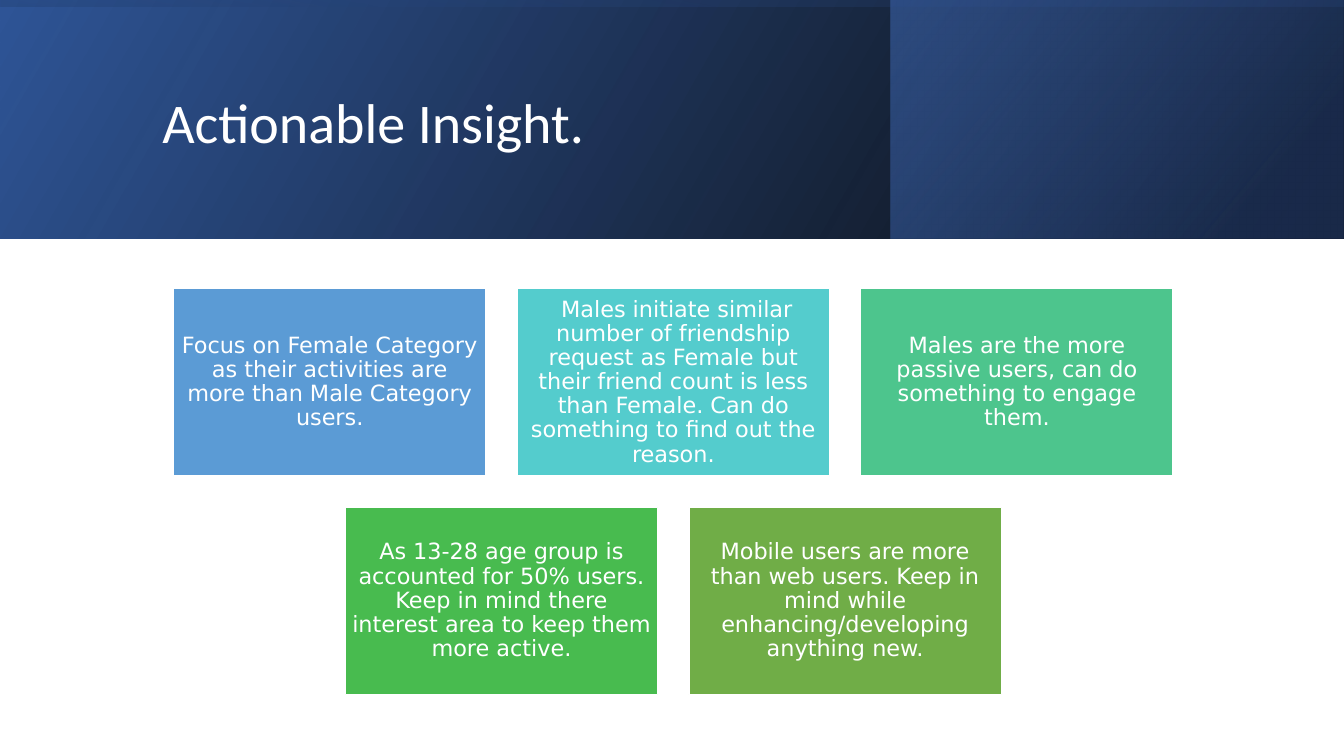
import dataclasses

import pptx
import pptx.dml.color
import pptx.enum.shapes
import pptx.enum.text
import pptx.oxml
import pptx.oxml.ns
import pptx.util

Pt = pptx.util.Pt


@dataclasses.dataclass(frozen=True)
class Theme:
    white: str = "FFFFFF"
    black: str = "000000"
    navy: str = "203864"
    deep_blue: str = "2F5597"
    bright_blue: str = "4472C4"
    cards: tuple = ("5B9BD5", "54CCCD", "4DC58D", "48BB4F", "70AD47")
    title_font: str = "Calibri"
    title_size: int = 40
    card_font: str = "DejaVu Sans"
    card_size: int = 16


THEME = Theme()
PAGE_WIDTH, PAGE_HEIGHT = 960, 540
BANNER_HEIGHT = 170.6

INSIGHTS = (
    "Focus on Female Category as their activities are more than Male Category users.",
    " Males initiate similar number of friendship request as Female but "
    "their friend count is less than Female. Can do something to find out the reason.",
    "Males are the more passive users, can do something to engage them.",
    "As 13-28 age group is accounted for 50% users. Keep in mind there "
    "interest area to keep them more active.",
    "Mobile users are more than web users. Keep in mind while "
    "enhancing/developing anything new.",
)


def rgb(code):
    return pptx.dml.color.RGBColor.from_string(code)


def add_rectangle(page, left, top, width, height):
    shape = page.shapes.add_shape(
        pptx.enum.shapes.MSO_SHAPE.RECTANGLE, Pt(left), Pt(top), Pt(width), Pt(height))
    shape.shadow.inherit = False
    return shape


def write_text(frame, text, font, size, align):
    """Fill a frame with one white, vertically centred paragraph."""
    frame.word_wrap = True
    frame.auto_size = pptx.enum.text.MSO_AUTO_SIZE.NONE
    frame.vertical_anchor = pptx.enum.text.MSO_ANCHOR.MIDDLE
    para = frame.paragraphs[0]
    para.alignment = align
    para.line_spacing = 0.9
    span = para.add_run()
    span.text = text
    span.font.name = font
    span.font.size = Pt(size)
    span.font.color.rgb = rgb(THEME.white)


def add_gradient_panel(page, left, top, width, height, stops, angle, rotation=0):
    """Add a mirrored panel; stops are (position %, colour, opacity %)."""
    panel = add_rectangle(page, left, top, width, height)
    panel.rotation = rotation
    panel.line.fill.background()
    properties = panel._element.spPr
    properties.xfrm.set("flipH", "1")
    stop_xml = "".join(
        f'<a:gs pos="{position * 1000}"><a:srgbClr val="{color}">'
        f'<a:alpha val="{opacity * 1000}"/></a:srgbClr></a:gs>'
        for position, color, opacity in stops)
    gradient = pptx.oxml.parse_xml(
        f'<a:gradFill {pptx.oxml.ns.nsdecls("a")} rotWithShape="1">'
        f'<a:gsLst>{stop_xml}</a:gsLst>'
        f'<a:lin ang="{angle * 60000}" scaled="0"/></a:gradFill>')
    properties.insert(2, gradient)


def add_banner(page, left, top, width, height):
    """Layer three gradients and put the title over them."""
    add_gradient_panel(page, left, top, width, height,
                       ((0, THEME.black, 96), (100, THEME.deep_blue, 100)), 330)
    side_width = 323
    add_gradient_panel(page, left + width - side_width - 0.5, top, side_width, height,
                       ((19, THEME.navy, 68), (100, THEME.bright_blue, 48)), 320)
    # The turned panel swaps its sides around the banner's centre.
    add_gradient_panel(page, left + (width - height) / 2, top + (height - width) / 2,
                       height, width,
                       ((23, THEME.deep_blue, 16), (99, THEME.black, 45)), 350, 270)

    title = page.shapes.title
    title.left, title.top = Pt(left + 108.7), Pt(top + 27.4)
    title.width, title.height = Pt(765.4), Pt(123.8)
    write_text(title.text_frame, "Actionable Insight.", THEME.title_font,
               THEME.title_size, pptx.enum.text.PP_ALIGN.LEFT)
    page.shapes._spTree.append(title._element)


def add_card(page, left, top, width, height, text, color):
    card = add_rectangle(page, left, top, width, height)
    card.fill.solid()
    card.fill.fore_color.rgb = rgb(color)
    card.line.color.rgb = rgb(THEME.white)
    card.line.width = Pt(1)
    frame = card.text_frame
    frame.margin_left = frame.margin_right = Pt(4.8)
    frame.margin_top = frame.margin_bottom = Pt(4.8)
    write_text(frame, text, THEME.card_font, THEME.card_size,
               pptx.enum.text.PP_ALIGN.CENTER)


def add_insight_cards(page, left, top, width, columns=3, gap=22.3):
    """Lay the cards out in rows, each row centred in the given width."""
    card_width = (width - (columns - 1) * gap) / columns
    card_height = card_width * 0.6
    for index, (text, color) in enumerate(zip(INSIGHTS, THEME.cards)):
        row, column = divmod(index, columns)
        in_row = min(columns, len(INSIGHTS) - row * columns)
        indent = (columns - in_row) * (card_width + gap) / 2
        add_card(page, left + indent + column * (card_width + gap),
                 top + row * (card_height + gap), card_width, card_height, text, color)


def main():
    deck = pptx.Presentation()
    deck.slide_width, deck.slide_height = Pt(PAGE_WIDTH), Pt(PAGE_HEIGHT)
    page = deck.slides.add_slide(deck.slide_layouts.get_by_name("Title Only"))
    add_banner(page, 0, 0, PAGE_WIDTH, BANNER_HEIGHT)
    add_insight_cards(page, 124, 206.2, 714)
    deck.save("out.pptx")


if __name__ == "__main__":
    main()
